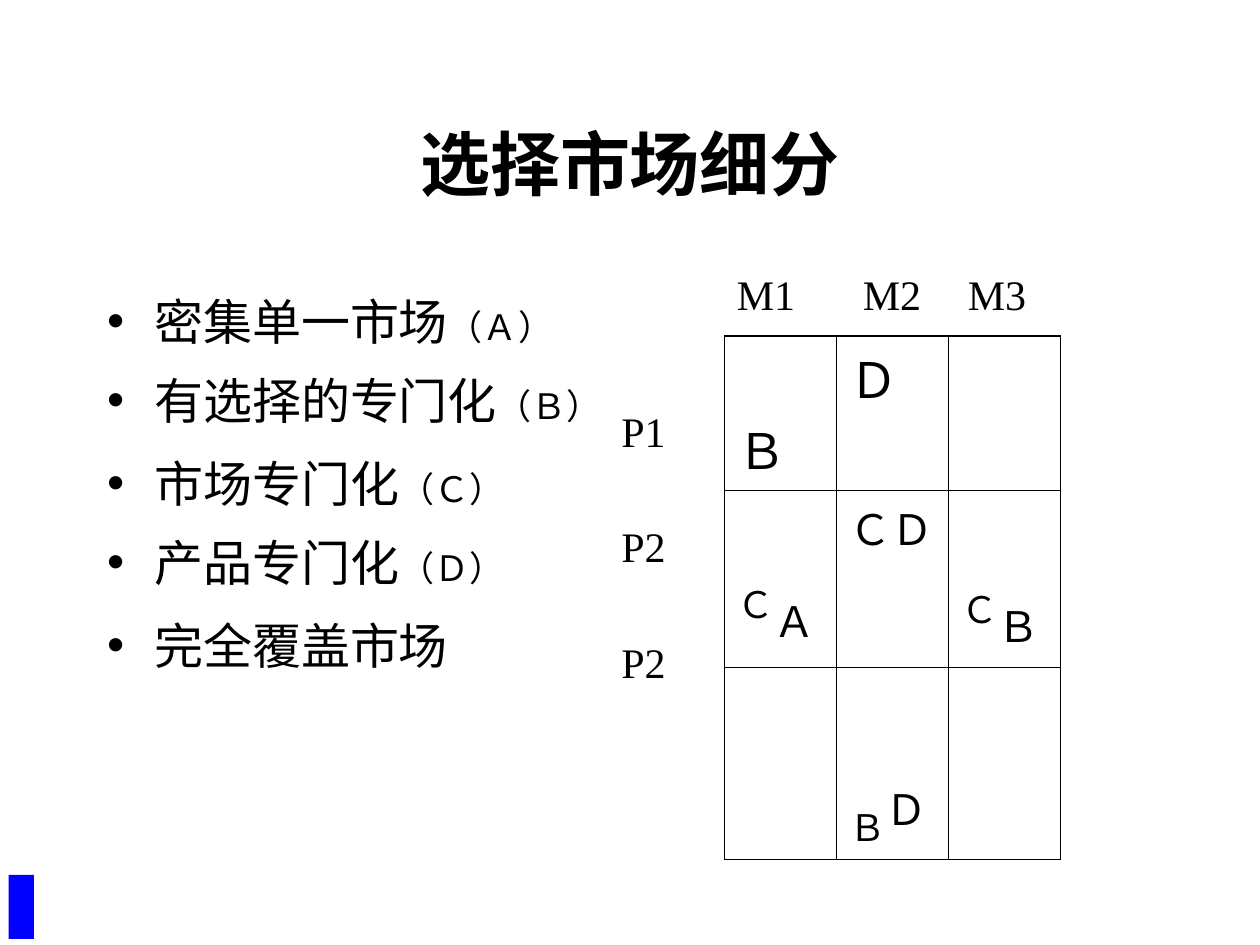
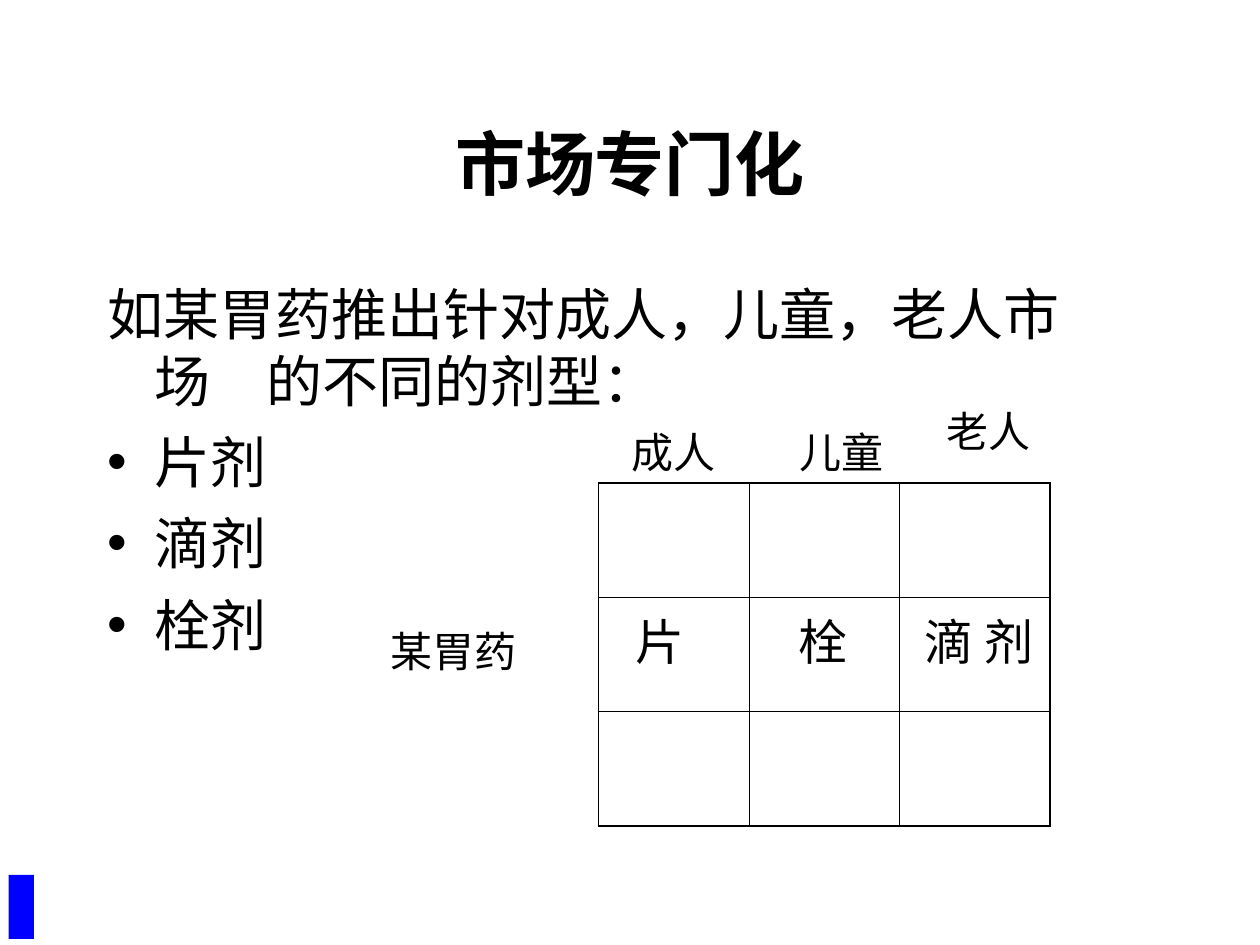
from pptx import Presentation
from pptx import util as u
from pptx.dml.color import RGBColor
from pptx.enum import shapes, text
from pptx.oxml import parse_xml
from pptx.oxml.ns import nsdecls
from pptx.oxml.xmlchemy import OxmlElement

FONT = "Times New Roman"
BLACK, BLUE = "000000", "0000FF"
OUTER, INNER = 1.08, 0.45


def color(value):
    return RGBColor.from_string(value)


def points(*values):
    return [u.Pt(value) for value in values]


class Builder:
    def __init__(self, deck):
        self.deck = deck
        self.page = None

    def new_page(self, title):
        self.page = self.deck.slides.add_slide(self.deck.slide_layouts[1])
        box = self.page.shapes.title
        self.place(box, 54, 48, 612, 90)
        box.text_frame.vertical_anchor = text.MSO_ANCHOR.MIDDLE
        para = box.text_frame.paragraphs[0]
        para.alignment = text.PP_ALIGN.CENTER
        self.span(para, title, 40, bold=True)

    def place(self, box, *area):
        box.left, box.top, box.width, box.height = points(*area)
        box.text_frame.word_wrap = True
        box.text_frame.auto_size = text.MSO_AUTO_SIZE.NONE

    def span(self, para, words, size, bold=False, baseline=0):
        span = para.add_run()
        span.text = words
        font = span.font
        font.name, font.size, font.bold = FONT, u.Pt(size), bold
        font.color.rgb = color(BLACK)
        if baseline:
            span._r.get_or_add_rPr().set("baseline", str(baseline * 1000))

    def body(self, items, line=1.0):
        """Each item is (space before, bulleted, [(words, size), ...])."""
        box = self.page.placeholders[1]
        self.place(box, 54, 156, 612, 324)
        for index, (before, bulleted, spans) in enumerate(items):
            frame = box.text_frame
            para = frame.add_paragraph() if index else frame.paragraphs[0]
            if not bulleted:
                para._p.get_or_add_pPr().append(OxmlElement("a:buNone"))
            para.line_spacing = line
            para.space_before = u.Pt(before if index else 0)
            for words, size in spans:
                self.span(para, words, size)

    def label(self, words, *area):
        box = self.page.shapes.add_textbox(*points(*area, 36))
        box.text_frame.word_wrap = True
        box.text_frame.auto_size = text.MSO_AUTO_SIZE.SHAPE_TO_FIT_TEXT
        self.span(box.text_frame.paragraphs[0], words, 24)

    def borders(self, cell, widths):
        cell.fill.background()
        properties = cell._tc.get_or_add_tcPr()
        for index, (side, width) in enumerate(zip("LRTB", widths)):
            properties.insert(index, parse_xml(
                f'<a:ln{side} {nsdecls("a")} w="{u.Pt(width)}"><a:solidFill>'
                f'<a:srgbClr val="{BLACK}"/></a:solidFill></a:ln{side}>'))

    def grid(self, left, top, column, heights, contents):
        """contents maps (row, column) to (line spacing, indent, spans)."""
        last_row, last_column = len(heights) - 1, 2
        frame = self.page.shapes.add_table(
            len(heights), 3, *points(left, top, column * 3, sum(heights)))
        table = frame.table
        table.first_row = table.horz_banding = False
        for item in table.columns:
            item.width = u.Pt(column)
        for r, height in enumerate(heights):
            table.rows[r].height = u.Pt(height)
            for c in range(3):
                cell = table.cell(r, c)
                edges = (c == 0, c == last_column, r == 0, r == last_row)
                self.borders(cell, [OUTER if edge else INNER for edge in edges])
                if (r, c) in contents:
                    line, indent, spans = contents[r, c]
                    cell.margin_left = u.Pt(7.2 + indent)
                    para = cell.text_frame.paragraphs[0]
                    para.line_spacing = line
                    for words, size, baseline in spans:
                        self.span(para, words, size, baseline=baseline)

    def corner_mark(self):
        mark = self.page.shapes.add_shape(
            shapes.MSO_SHAPE.RECTANGLE, *points(5, 500, 14.4, 36.5))
        mark.shadow.inherit = False
        mark.fill.solid()
        mark.fill.fore_color.rgb = color(BLUE)
        mark.line.fill.background()


def segments_page(build):
    build.new_page("选择市场细分")
    choices = [("密集单一市场", "（Ａ）", 5), ("有选择的专门化", "（Ｂ）", 5),
               ("市场专门化", "（Ｃ）", 7), ("产品专门化", "（Ｄ）", 5),
               ("完全覆盖市场", "", 7)]
    build.body([(before, True, [(name, 28)] + ([(code, 20)] if code else []))
                for name, code, before in choices], line=1.2)
    # Market and product matrix
    build.grid(414, 192, 64, [88, 101, 110], {
        (0, 0): (2, 0, [("Ｂ", 28, 0)]),
        (0, 1): (1, 0, [("Ｄ", 28, 0)]),
        (1, 0): (1.75, 0, [("Ｃ", 36, 30), ("Ａ", 24, 0)]),
        (1, 1): (1, 0, [("ＣＤ", 24, 0)]),
        (1, 2): (1.8, 0, [("Ｃ", 36, 30), ("Ｂ", 24, 0)]),
        (2, 1): (1.8, 0, [("Ｂ", 36, -25), ("Ｄ", 24, 0)]),
    })
    for index, product in enumerate(["P1", "P2", "P2"]):
        build.label(product, 348, 228 + 66 * index, 60)
    for market, left in [("M1", 414), ("M2", 486), ("M3", 546)]:
        build.label(market, left, 150, 60)
    build.corner_mark()


def specialization_page(build):
    build.new_page("市场专门化")
    intro = "如某胃药推出针对成人，儿童，老人市场　的不同的剂型："
    build.body([(8, False, [(intro, 32)])]
               + [(8, True, [(form, 32)]) for form in ("片剂", "滴剂", "栓剂")])
    # Dosage form for each market
    forms = [("片", 14), ("栓", 21), ("滴 剂", 7)]
    build.grid(342, 276, 86, [65.3] * 3, {
        (1, c): (1, indent, [(form, 28, 0)])
        for c, (form, indent) in enumerate(forms)})
    build.label("某胃药", 216, 354, 96)
    for market, left, top in [("成人", 354, 240), ("儿童", 450, 240),
                              ("老人", 534, 228)]:
        build.label(market, left, top, 72)
    build.corner_mark()


def main():
    deck = Presentation()
    deck.slide_width, deck.slide_height = points(720, 540)
    build = Builder(deck)
    segments_page(build)
    specialization_page(build)
    deck.save("out.pptx")


if __name__ == "__main__":
    main()
